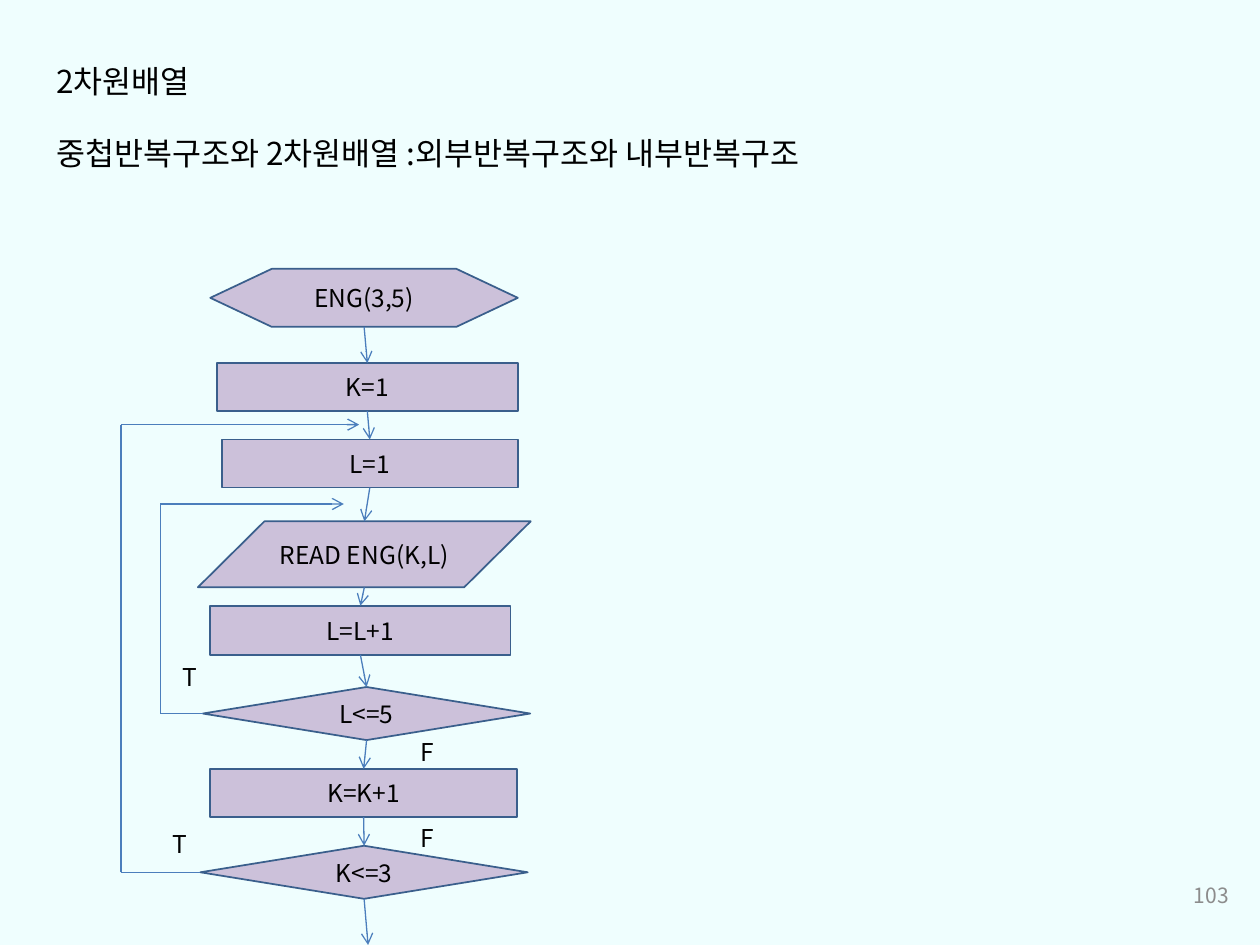
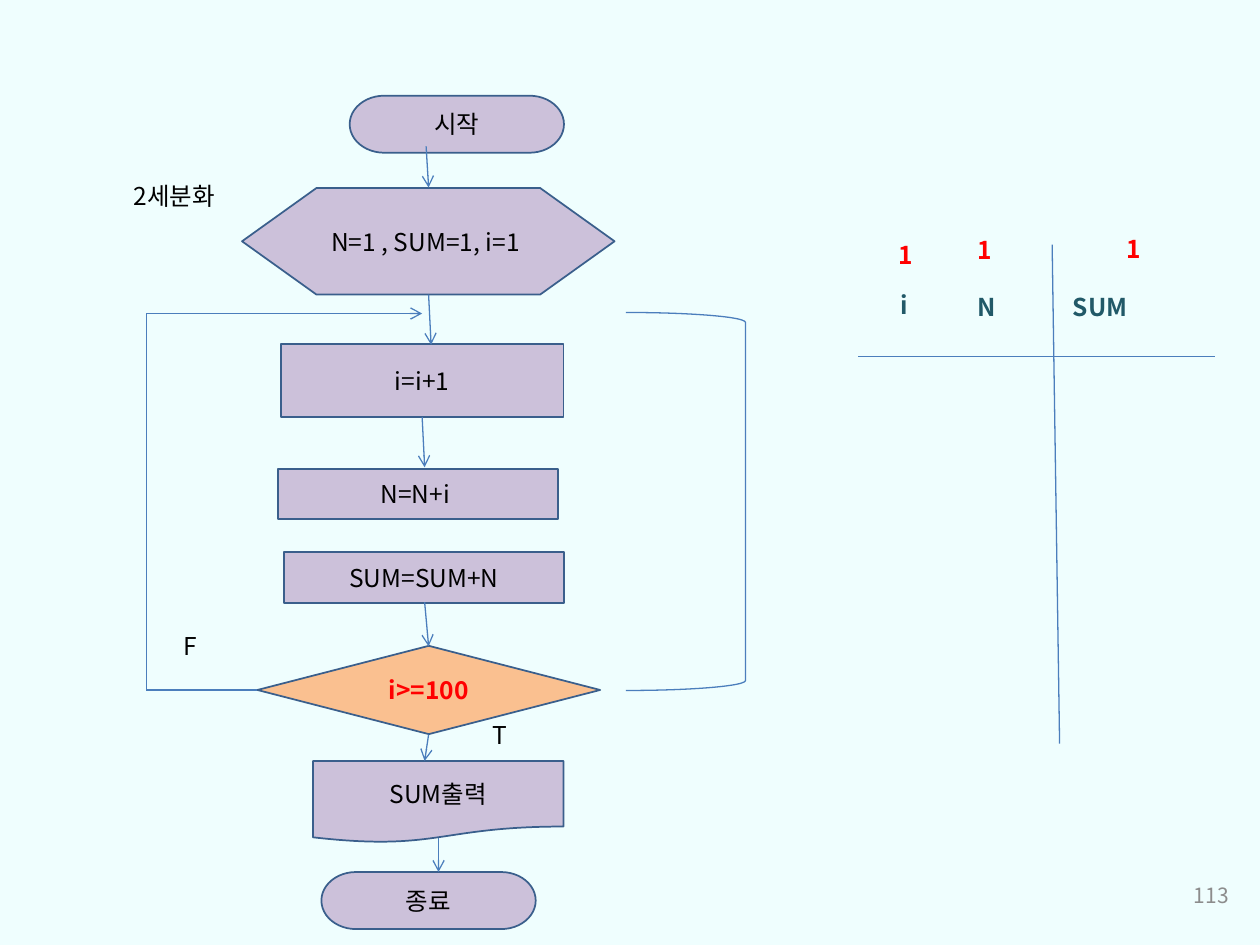
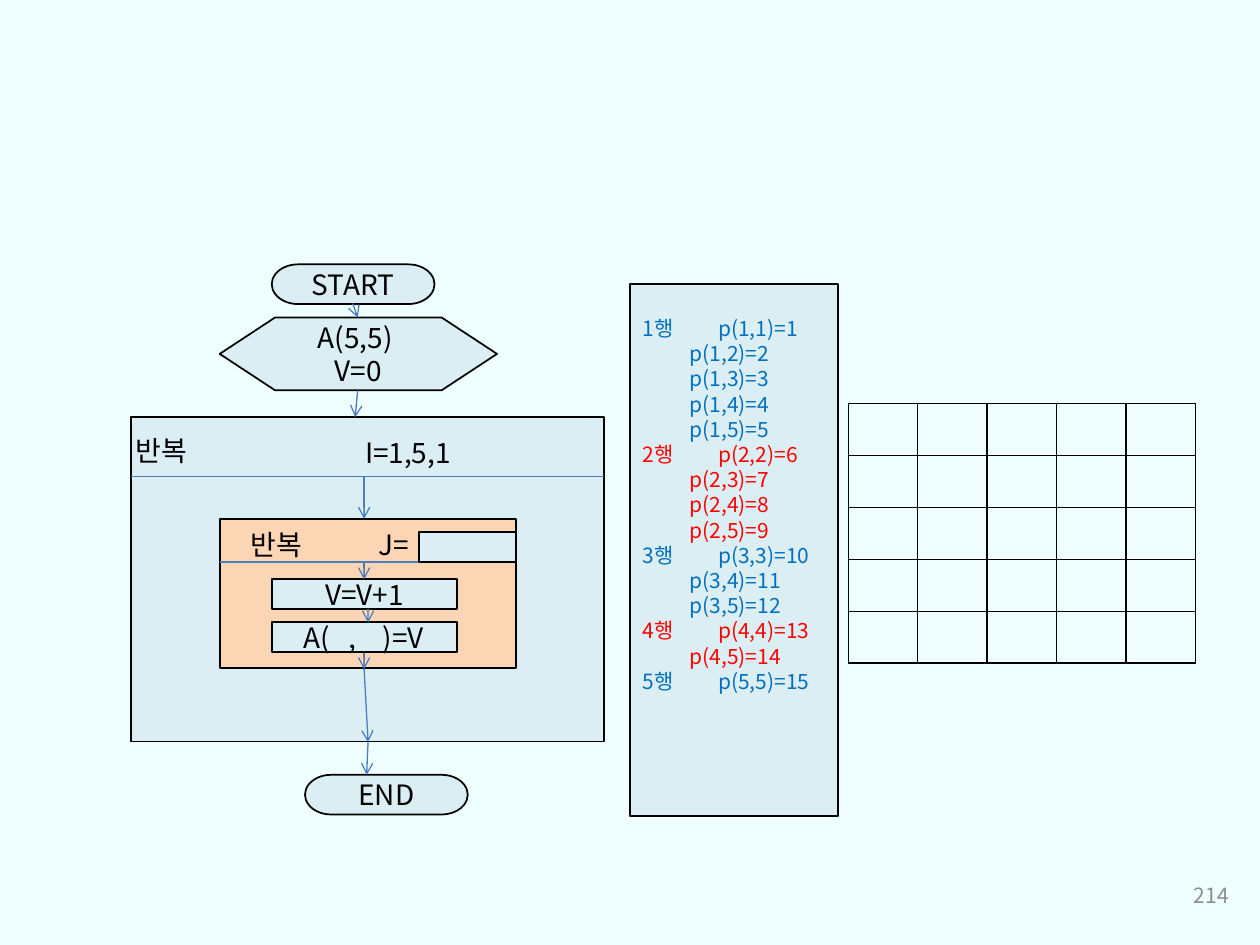
from itertools import pairwise

from pptx import Presentation
from pptx.dml.color import RGBColor
from pptx.enum.shapes import MSO_CONNECTOR, MSO_SHAPE as SHAPE
from pptx.enum.text import MSO_ANCHOR as ANCHOR, PP_ALIGN as ALIGN
from pptx.oxml.ns import qn
from pptx.util import Cm, Pt
from lxml.etree import SubElement

FONT = "Noto Sans CJK KR"
BACKGROUND = RGBColor(0xEF, 0xFE, 0xFE)
BLACK = RGBColor(0x00, 0x00, 0x00)
GRAY = RGBColor(0x8C, 0x8C, 0x8C)
RED = RGBColor(0xFF, 0x00, 0x00)
BLUE = RGBColor(0x00, 0x70, 0xC0)
TEAL = RGBColor(0x21, 0x59, 0x68)
LILAC = RGBColor(0xCC, 0xC1, 0xDA)
ORANGE = RGBColor(0xFA, 0xC0, 0x90)
PEACH = RGBColor(0xFC, 0xD5, 0xB5)
PALE_BLUE = RGBColor(0xDB, 0xEE, 0xF4)
OUTLINE = RGBColor(0x3A, 0x5F, 0x8C)
LINE = RGBColor(0x4B, 0x7E, 0xBC)


class Deck:
    """Shared style and the slide being filled; positions are in centimetres."""

    def __init__(self):
        self.prs = Presentation()
        self.prs.slide_width, self.prs.slide_height = Cm(25.4), Cm(19.05)
        fill = self.prs.slide_master.background.fill
        fill.solid()
        fill.fore_color.rgb = BACKGROUND

    def new_slide(self, number, fill, outline, size):
        self.s = self.prs.slides.add_slide(self.prs.slide_layouts[6])
        self.fill, self.outline, self.size = fill, outline, size
        tf = self.text(str(number), 19.1, 17.53, 5.92, 1.02,
                       size=12, color=GRAY, align=ALIGN.RIGHT)
        tf.vertical_anchor = ANCHOR.MIDDLE

    def add_run(self, p, text, size=None, color=BLACK, bold=False, align=None,
                tabs=()):
        size = size or self.size
        p.alignment = align
        p.line_spacing = Pt(size * 1.2)
        if tabs:
            tab_list = SubElement(p._p.get_or_add_pPr(), qn("a:tabLst"))
            for tab in tabs:
                SubElement(tab_list, qn("a:tab"), pos=str(Cm(tab)), algn="l")
        r = p.add_run()
        r.text = text
        f = r.font
        f.name, f.size, f.bold = FONT, Pt(size), bold
        f.color.rgb = color
        SubElement(r._r.get_or_add_rPr(), qn("a:ea"), typeface=FONT)

    def text(self, text, x, y, w, h, **style):
        tf = self.s.shapes.add_textbox(Cm(x), Cm(y), Cm(w), Cm(h)).text_frame
        tf.word_wrap = True
        self.add_run(tf.paragraphs[0], text, **style)
        return tf

    def shape(self, kind, text, x, y, w, h, fill=None, align=ALIGN.CENTER, **style):
        sp = self.s.shapes.add_shape(kind, Cm(x), Cm(y), Cm(w), Cm(h))
        sp.shadow.inherit = False
        sp.fill.solid()
        sp.fill.fore_color.rgb = fill or self.fill
        sp.line.color.rgb = self.outline
        sp.line.width = Pt(1)
        tf = sp.text_frame
        tf.word_wrap = True
        tf.vertical_anchor = ANCHOR.MIDDLE
        for i, row in enumerate(text.split("\n") if text else []):
            p = tf.add_paragraph() if i else tf.paragraphs[0]
            self.add_run(p, row, align=align, **style)
        return sp

    def bracket(self, x, y, w, h):
        sp = self.s.shapes.add_shape(SHAPE.RIGHT_BRACKET, Cm(x), Cm(y), Cm(w), Cm(h))
        sp.shadow.inherit = False
        sp.fill.background()
        sp.line.color.rgb = LINE
        sp.line.width = Pt(0.75)

    def line(self, x1, y1, x2, y2, arrow=False):
        c = self.s.shapes.add_connector(
            MSO_CONNECTOR.STRAIGHT, Cm(x1), Cm(y1), Cm(x2), Cm(y2))
        c.line.color.rgb = LINE
        c.line.width = Pt(0.75)
        if arrow:
            SubElement(c.line._get_or_add_ln(), qn("a:tailEnd"), type="arrow")
        SubElement(c._element.spPr, qn("a:effectLst"))

    def arrows(self, ends):
        for end in ends:
            self.line(*end, arrow=True)

    def flow(self, shapes):
        """Arrows from the bottom of each shape to the top of the next."""
        for a, b in pairwise(shapes):
            self.line((a.left + a.width / 2) / Cm(1), (a.top + a.height) / Cm(1),
                      (b.left + b.width / 2) / Cm(1), b.top / Cm(1), arrow=True)

    def loop_back(self, sp, x, top, end):
        """Line from the left corner of a decision back up to the loop start."""
        left, middle = sp.left / Cm(1), (sp.top + sp.height / 2) / Cm(1)
        self.line(left, middle, x, middle)
        self.line(x, middle, x, top)
        self.line(x, top, end, top, arrow=True)

    def grid(self, rows, cols, x, y, w, h):
        table = self.s.shapes.add_table(
            rows, cols, Cm(x), Cm(y), Cm(w), Cm(h)).table
        table.first_row = table.horz_banding = False
        for cell in table.iter_cells():
            cell.margin_top = cell.margin_bottom = 0
            tc_pr = cell._tc.get_or_add_tcPr()
            for side in ("a:lnL", "a:lnR", "a:lnT", "a:lnB"):
                ln = SubElement(tc_pr, qn(side), w=str(Pt(1)))
                solid = SubElement(ln, qn("a:solidFill"))
                SubElement(solid, qn("a:srgbClr"), val=str(BLACK))
            cell.fill.background()


def nested_loop_slide(d):
    d.new_slide(103, LILAC, OUTLINE, 14)
    d.text("중첩반복구조와 2차원배열 :외부반복구조와 내부반복구조",
           0.89, 2.57, 18.8, 1.02, size=18)
    d.text("2차원배열", 0.89, 1.12, 15.6, 1.02, size=18)

    # Flowchart
    steps = [d.shape(*step) for step in (
        (SHAPE.FLOWCHART_PREPARATION, "ENG(3,5)", 4.24, 5.42, 6.2, 1.17),
        (SHAPE.FLOWCHART_PROCESS, "K=1", 4.37, 7.32, 6.07, 0.97),
        (SHAPE.FLOWCHART_PROCESS, "L=1", 4.47, 8.86, 5.97, 0.97),
        (SHAPE.FLOWCHART_DATA, "READ ENG(K,L)", 3.99, 10.51, 6.71, 1.33),
        (SHAPE.FLOWCHART_PROCESS, "L=L+1", 4.24, 12.21, 6.05, 0.99),
        (SHAPE.FLOWCHART_DECISION, "L<=5", 4.09, 13.85, 6.6, 1.07),
        (SHAPE.FLOWCHART_PROCESS, "K=K+1", 4.23, 15.5, 6.2, 0.97),
        (SHAPE.FLOWCHART_DECISION, "K<=3", 4.04, 17.05, 6.6, 1.07),
    )]
    d.flow(steps)
    d.line(7.34, 18.12, 7.42, 19.05, arrow=True)
    d.loop_back(steps[7], 2.44, 8.56, 7.24)
    d.loop_back(steps[5], 3.23, 10.16, 6.93)

    # Branch labels
    for label, x, y in (("T", 3.43, 13.23), ("T", 3.23, 16.59),
                        ("F", 8.23, 14.73), ("F", 8.23, 16.46)):
        d.text(label, x, y, 0.81, 1.09)


def series_sum_slide(d):
    d.new_slide(113, LILAC, OUTLINE, 14)

    # Flowchart
    for step in (
        (SHAPE.FLOWCHART_TERMINATOR, "시작", 7.05, 1.93, 4.32, 1.15),
        (SHAPE.FLOWCHART_PREPARATION, "N=1 , SUM=1, i=1 ", 4.88, 3.79, 7.51, 2.15),
        (SHAPE.FLOWCHART_PROCESS, "i=i+1", 5.66, 6.93, 5.7, 1.47),
        (SHAPE.FLOWCHART_PROCESS, "N=N+i ", 5.61, 9.45, 5.64, 1.02),
        (SHAPE.FLOWCHART_PROCESS, "SUM=SUM+N", 5.73, 11.13, 5.64, 1.02),
        (SHAPE.FLOWCHART_DOCUMENT, "SUM출력", 6.31, 15.34, 5.05, 1.65),
        (SHAPE.FLOWCHART_TERMINATOR, "종료", 6.48, 17.58, 4.32, 1.15),
    ):
        d.shape(*step)
    check = d.shape(SHAPE.FLOWCHART_DECISION, "i>=100", 5.19, 13.02, 6.91, 1.78,
                    fill=ORANGE, color=RED, bold=True)
    d.arrows((
        (8.59, 2.95, 8.64, 3.78), (8.64, 5.94, 8.69, 6.95),
        (8.51, 8.41, 8.56, 9.42), (8.56, 12.14, 8.64, 13.03),
        (8.64, 14.81, 8.56, 15.34), (8.84, 16.89, 8.84, 17.58),
    ))
    d.loop_back(check, 2.95, 6.32, 8.51)
    d.bracket(12.62, 6.3, 2.41, 7.62)

    # Labels
    d.text("F", 3.45, 12.6, 1.73, 1.14)
    d.text("T", 9.68, 14.4, 1.73, 1.14)
    d.text("2세분화", 2.44, 3.53, 2.95, 1.14)

    # Trace of the variables
    d.line(17.3, 7.19, 24.49, 7.19)
    d.line(21.21, 4.93, 21.36, 14.99)
    d.text("i", 17.91, 5.72, 0.99, 0.86, color=TEAL, bold=True)
    d.text("N\tSUM", 19.46, 5.77, 5.08, 0.86, color=TEAL, bold=True, tabs=[1.92])
    for x, y in ((17.86, 4.72), (19.46, 4.62), (22.45, 4.6)):
        d.text("1", x, y, 2.06, 0.86, color=RED, bold=True)


def triangle_fill_slide(d):
    d.new_slide(214, PALE_BLUE, BLACK, 16)

    # Flowchart with an outer and an inner loop
    d.shape(SHAPE.RECTANGLE, "", 2.64, 8.41, 9.54, 6.54)
    d.shape(SHAPE.FLOWCHART_TERMINATOR, "START", 5.48, 5.33, 3.28, 0.8)
    d.shape(SHAPE.FLOWCHART_PREPARATION, "A(5,5) \nV=0", 4.43, 6.4, 5.59, 1.47)
    d.shape(SHAPE.FLOWCHART_TERMINATOR, "END", 6.15, 15.62, 3.28, 0.8)
    d.line(2.64, 9.6, 12.18, 9.6)
    d.shape(SHAPE.RECTANGLE, "", 4.44, 10.47, 5.96, 3, fill=PEACH)
    d.line(4.44, 11.33, 10.4, 11.33)
    for label, x, y, w in (("I=1,5,1", 7.11, 8.66, 4.62), ("J=", 7.39, 10.52, 4.62),
                           ("반복", 2.49, 8.61, 2.31), ("반복", 4.8, 10.52, 2.31)):
        d.text(label, x, y, w, 0.94)
    d.shape(SHAPE.RECTANGLE, "V=V+1", 5.48, 11.68, 3.73, 0.6)
    assign = d.shape(SHAPE.RECTANGLE, "A(\t,\t)=V", 5.48, 12.54, 3.73, 0.6,
                     align=ALIGN.LEFT, tabs=[0.91, 1.6])
    assign.text_frame.margin_left, assign.text_frame.margin_right = Cm(0.64), 0
    d.arrows((
        (7.11, 6.12, 7.21, 6.4), (7.21, 7.87, 7.16, 8.41),
        (7.34, 9.6, 7.34, 10.46), (7.34, 11.33, 7.34, 11.68),
        (7.42, 12.27, 7.42, 12.55), (7.34, 13.16, 7.34, 13.49),
        (7.34, 13.49, 7.42, 14.96), (7.42, 14.96, 7.39, 15.62),
    ))
    d.grid(5, 5, 17.1, 8.13, 7, 5.24)

    # Values of the upper triangle, row by row
    tf = d.shape(SHAPE.RECTANGLE, "", 12.7, 5.72, 4.2, 10.73).text_frame
    tf.vertical_anchor = ANCHOR.TOP
    tf.margin_top = Cm(0.64)
    value = 0
    for row in range(1, 6):
        for col in range(row, 6):
            value += 1
            p = tf.add_paragraph() if value > 1 else tf.paragraphs[0]
            head, tab = (f"{row}행", 1.53) if col == row else ("", 0.95)
            d.add_run(p, f"{head}\tp({row},{col})={value}", size=12,
                      color=BLUE if row % 2 else RED, align=ALIGN.LEFT, tabs=[tab])
    d.shape(SHAPE.RECTANGLE, "", 8.45, 10.72, 1.95, 0.61)


def main():
    d = Deck()
    nested_loop_slide(d)
    series_sum_slide(d)
    triangle_fill_slide(d)
    d.prs.save("out.pptx")


if __name__ == "__main__":
    main()
